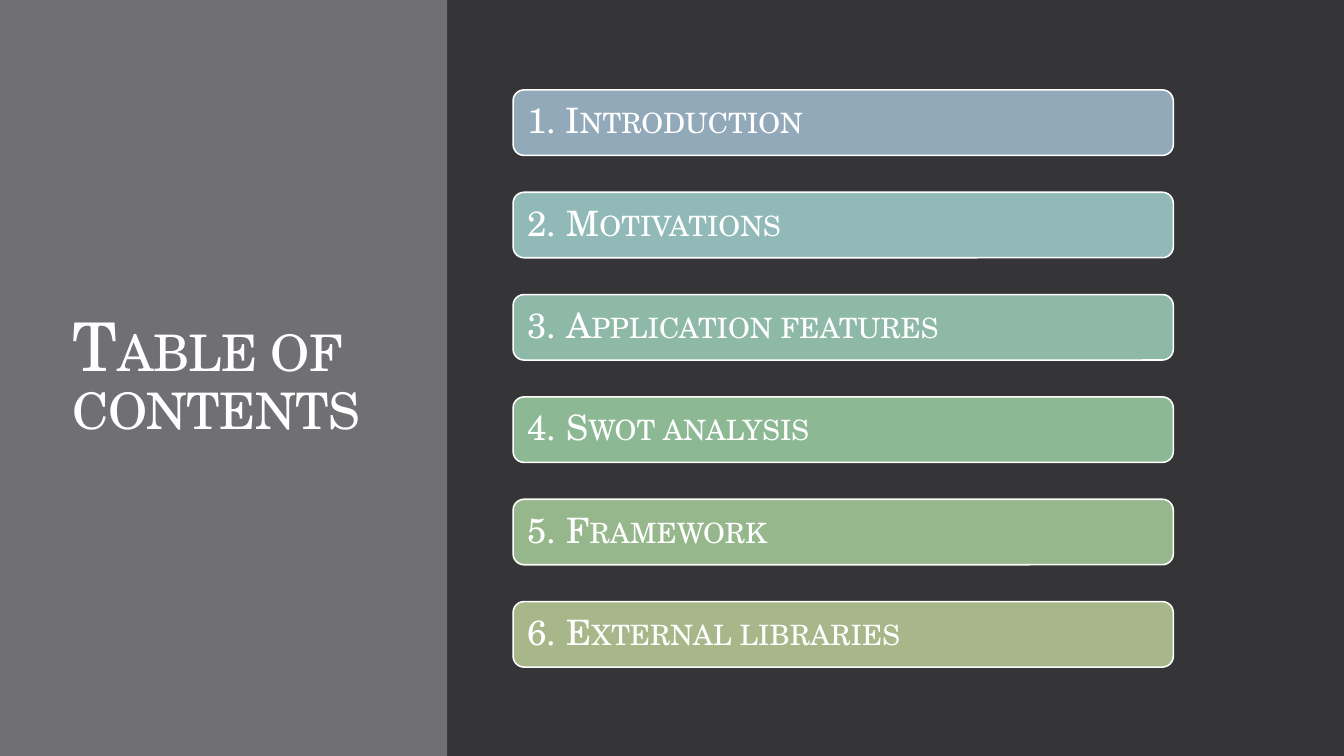
from pptx import Presentation
from pptx.dml.color import RGBColor
from pptx.enum import shapes, text
from pptx.util import Pt

FONT = "TeX Gyre Schola"
WHITE = RGBColor(0xFF, 0xFF, 0xFF)
DARK = RGBColor(0x35, 0x35, 0x37)
GREY = RGBColor(0x6F, 0x6F, 0x74)

SECTIONS = [
    ("1. I", "NTRODUCTION", RGBColor(0x92, 0xA9, 0xB9)),
    ("2. M", "OTIVATIONS", RGBColor(0x90, 0xB9, 0xB8)),
    ("3. A", "PPLICATION FEATURES", RGBColor(0x8E, 0xB8, 0xA7)),
    ("4. S", "WOT ANALYSIS", RGBColor(0x8D, 0xB8, 0x94)),
    ("5. F", "RAMEWORK", RGBColor(0x95, 0xB7, 0x8B)),
    ("6. E", "XTERNAL LIBRARIES", RGBColor(0xA7, 0xB7, 0x89)),
]
BAR_LEFT, BAR_TOP, BAR_WIDTH, BAR_HEIGHT = 366.5, 64.2, 471.6, 46.8
BAR_PITCH = 73.1


def add_filled_shape(kind, left, top, width, height, color):
    shape = page.shapes.add_shape(kind, Pt(left), Pt(top), Pt(width), Pt(height))
    shape.shadow.inherit = False
    shape.fill.solid()
    shape.fill.fore_color.rgb = color
    shape.line.fill.background()
    return shape


def write_small_caps(box, initial, rest, initial_size, rest_size):
    """Fill the box with one line whose opening is larger than the rest."""
    frame = box.text_frame
    frame.word_wrap = True
    frame.vertical_anchor = text.MSO_ANCHOR.MIDDLE
    para = frame.paragraphs[0]
    para.alignment = text.PP_ALIGN.LEFT
    para.line_spacing = 0.9
    for words, size in ((initial, initial_size), (rest, rest_size)):
        span = para.add_run()
        span.text = words
        span.font.name = FONT
        span.font.size = Pt(size)
        span.font.color.rgb = WHITE
    return para


deck = Presentation()
deck.slide_width, deck.slide_height = Pt(960), Pt(540)
page = deck.slides.add_slide(deck.slide_layouts[6])
page.background.fill.solid()
page.background.fill.fore_color.rgb = DARK

add_filled_shape(shapes.MSO_SHAPE.RECTANGLE, 0, 0, 319.5, 540, GREY)

title = page.shapes.add_textbox(Pt(44.8), Pt(65.5), Pt(222.5), Pt(408))
heading = write_small_caps(title, "T", "ABLE OF CONTENTS", 48, 36)
for span in heading.runs:
    span.font._element.set("spc", "-50")

for index, (initial, rest, color) in enumerate(SECTIONS):
    bar = add_filled_shape(shapes.MSO_SHAPE.ROUNDED_RECTANGLE, BAR_LEFT,
                           BAR_TOP + index * BAR_PITCH, BAR_WIDTH, BAR_HEIGHT, color)
    bar.line.color.rgb = WHITE
    bar.line.width = Pt(1.1)
    bar.text_frame.margin_left = Pt(8)
    write_small_caps(bar, initial, rest, 25, 20)

deck.save("out.pptx")
